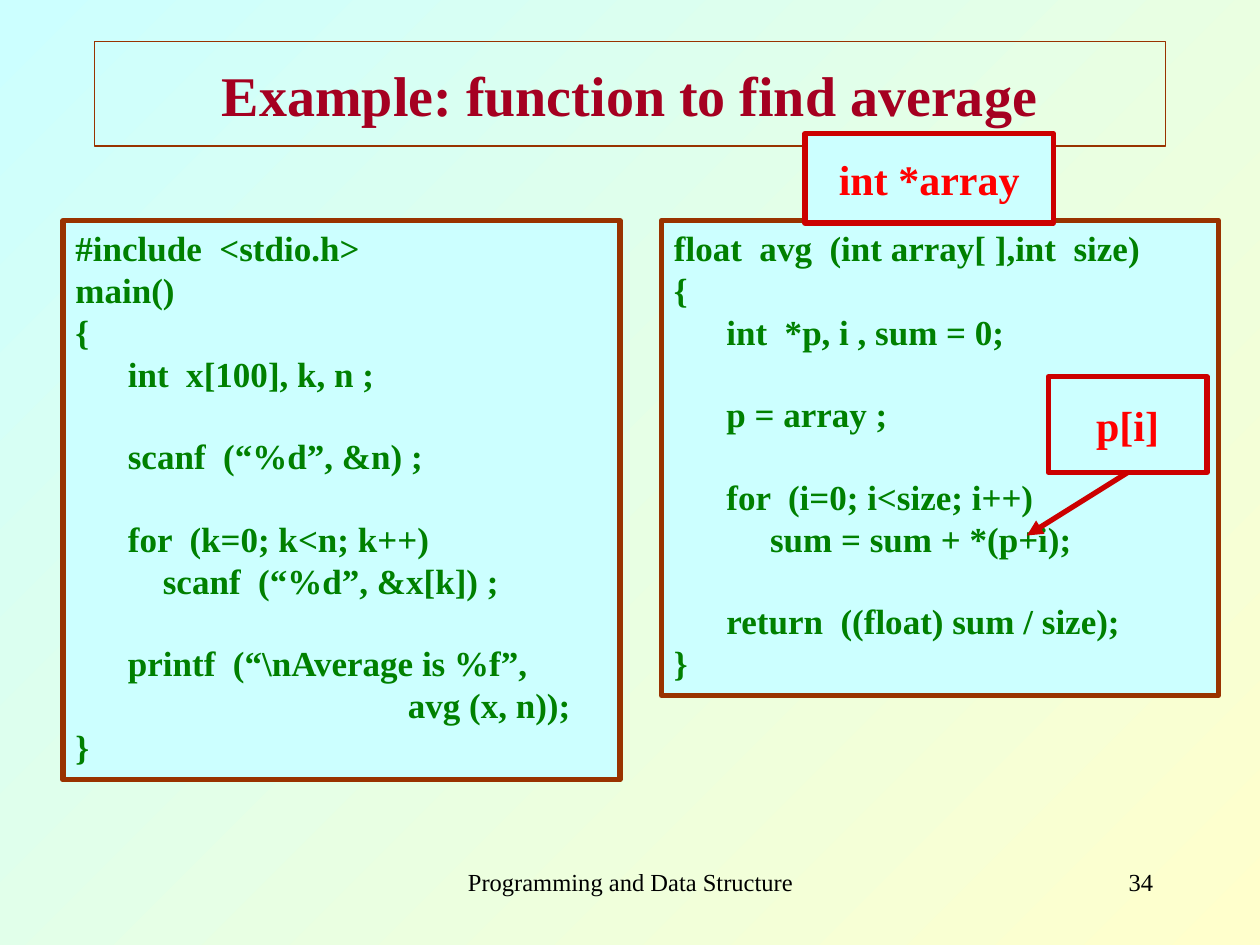
from dataclasses import dataclass

from lxml.etree import SubElement
from pptx import Presentation
from pptx.dml.color import RGBColor
from pptx.enum.shapes import MSO_CONNECTOR, MSO_SHAPE
from pptx.enum.text import MSO_ANCHOR, MSO_AUTO_SIZE, PP_ALIGN
from pptx.oxml.ns import qn
from pptx.util import Inches, Pt

FONT = "Times New Roman"
CYAN = RGBColor(0xCC, 0xFF, 0xFF)
YELLOW = RGBColor(0xFF, 0xFF, 0xCC)
BROWN = RGBColor(0x99, 0x33, 0x00)
CRIMSON = RGBColor(0xA5, 0x00, 0x21)
GREEN = RGBColor(0x00, 0x80, 0x00)
DARK_RED = RGBColor(0xCC, 0x00, 0x00)
RED = RGBColor(0xFF, 0x00, 0x00)
BLACK = RGBColor(0x00, 0x00, 0x00)
CODE_SIZE = 20
CODE_LINE = Pt(23)  # height of one line of code

MAIN_CODE = """\
#include  <stdio.h>
main()
{
      int  x[100], k, n ;

      scanf  (“%d”, &n) ;

      for  (k=0; k<n; k++)
          scanf  (“%d”, &x[k]) ;

      printf  (“\\nAverage is %f”,
                                      avg (x, n));
}"""

AVG_CODE = """\
float  avg  (int array[ ],int  size)
{
      int  *p, i , sum = 0;

      p = array ;

      for  (i=0; i<size; i++)
           sum = sum + *(p+i);

      return  ((float) sum / size);
}"""


@dataclass(frozen=True)
class Box:
    text: str
    left: float
    top: float
    width: float
    height: float

    @property
    def frame(self) -> tuple:
        return tuple(map(Inches, (self.left, self.top, self.width, self.height)))


CODE_BOXES = [
    Box(MAIN_CODE, 0.5, 1.75, 4.42, 4.44),
    Box(AVG_CODE, 5.25, 1.75, 4.42, 3.77),
]
ARRAY_NOTE = Box("int *array", 6.39, 1.06, 1.97, 0.71)
INDEX_NOTE = Box("p[i]", 8.32, 2.99, 1.26, 0.76)
FOOTERS = [
    (Box("Programming and Data Structure", 3.42, 6.83, 3.17, 0.5), PP_ALIGN.CENTER),
    (Box("34", 7.17, 6.83, 2.08, 0.5), PP_ALIGN.RIGHT),
]


def add_text(p, text: str, size: int, color: RGBColor, align, bold: bool = True) -> None:
    p.alignment = align
    r = p.add_run()
    r.text = text
    r.font.name = FONT
    r.font.size = Pt(size)
    r.font.bold = bold
    r.font.color.rgb = color


def add_panel(s, box: Box, line_color: RGBColor):
    sp = s.shapes.add_shape(MSO_SHAPE.RECTANGLE, *box.frame)
    sp.shadow.inherit = False
    sp.fill.solid()
    sp.fill.fore_color.rgb = CYAN
    sp.line.color.rgb = line_color
    sp.line.width = Pt(3)
    return sp


def add_code(s, box: Box) -> None:
    """Draw a listing, turning each empty code line into space before the next one."""
    tf = add_panel(s, box, BROWN).text_frame
    tf.word_wrap = True
    tf.vertical_anchor = MSO_ANCHOR.TOP
    tf.auto_size = MSO_AUTO_SIZE.SHAPE_TO_FIT_TEXT
    p, after_gap = tf.paragraphs[0], False
    for i, line in enumerate(box.text.splitlines()):
        if not line:
            after_gap = True
            continue
        if i:
            p = tf.add_paragraph()
        if after_gap:
            p.space_before = CODE_LINE
        add_text(p, line, CODE_SIZE, GREEN, PP_ALIGN.LEFT)
        after_gap = False


def add_note(s, box: Box):
    sp = add_panel(s, box, DARK_RED)
    tf = sp.text_frame
    tf.word_wrap = False
    tf.vertical_anchor = MSO_ANCHOR.MIDDLE
    add_text(tf.paragraphs[0], box.text, 24, RED, PP_ALIGN.CENTER)
    return sp


def add_arrow(s, note, x: float, y: float) -> None:
    """Point from the bottom of a note to the given place."""
    c = s.shapes.add_connector(MSO_CONNECTOR.STRAIGHT, 0, 0, Inches(x), Inches(y))
    c.begin_connect(note, 2)
    c.line.color.rgb = DARK_RED
    c.line.width = Pt(3)
    SubElement(c.line._get_or_add_ln(), qn("a:tailEnd"), type="triangle")
    SubElement(c._element.spPr, qn("a:effectLst"))


def add_footer(s, box: Box, align) -> None:
    tf = s.shapes.add_textbox(*box.frame).text_frame
    tf.word_wrap = True
    add_text(tf.paragraphs[0], box.text, 14, BLACK, align, bold=False)


def set_title(s, box: Box) -> None:
    title = s.shapes.title
    title.left, title.top, title.width, title.height = box.frame
    title.line.color.rgb = BROWN
    title.line.width = Pt(0.75)
    tf = title.text_frame
    tf.vertical_anchor = MSO_ANCHOR.MIDDLE
    add_text(tf.paragraphs[0], box.text, 32, CRIMSON, PP_ALIGN.CENTER)


def set_background(s) -> None:
    fill = s.background.fill
    fill.gradient()
    fill.gradient_angle = 315
    for stop, color in zip(fill.gradient_stops, (CYAN, YELLOW)):
        stop.color.rgb = color


def main() -> None:
    prs = Presentation()
    prs.slide_width, prs.slide_height = Inches(10), Inches(7.5)
    s = prs.slides.add_slide(prs.slide_layouts[5])
    set_background(s)
    set_title(s, Box("Example: function to find average", 0.75, 0.33, 8.5, 0.83))
    for box, align in FOOTERS:
        add_footer(s, box, align)
    for box in CODE_BOXES:
        add_code(s, box)
    add_note(s, ARRAY_NOTE)
    add_arrow(s, add_note(s, INDEX_NOTE), 8.15, 4.25)
    prs.save("out.pptx")


if __name__ == "__main__":
    main()
